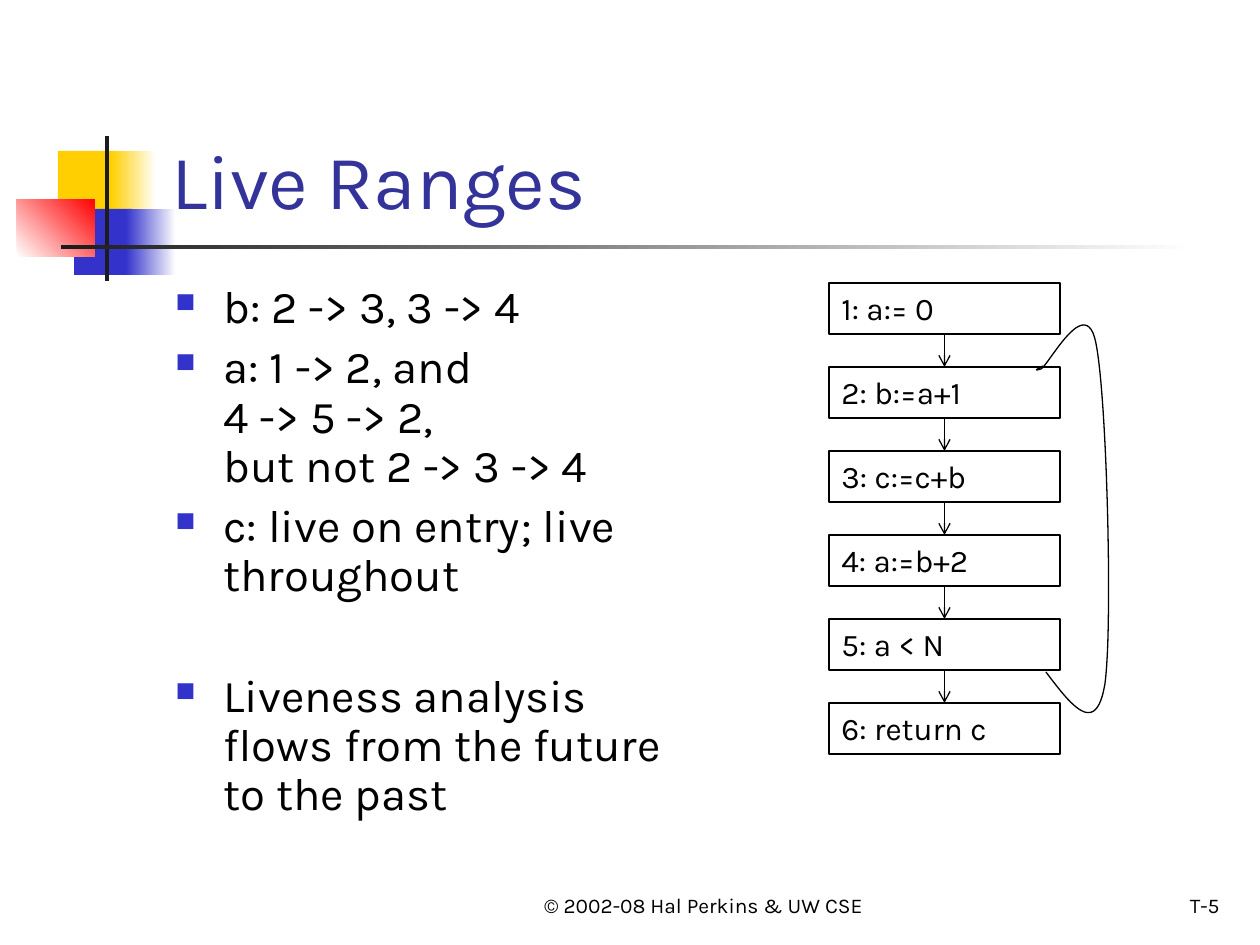
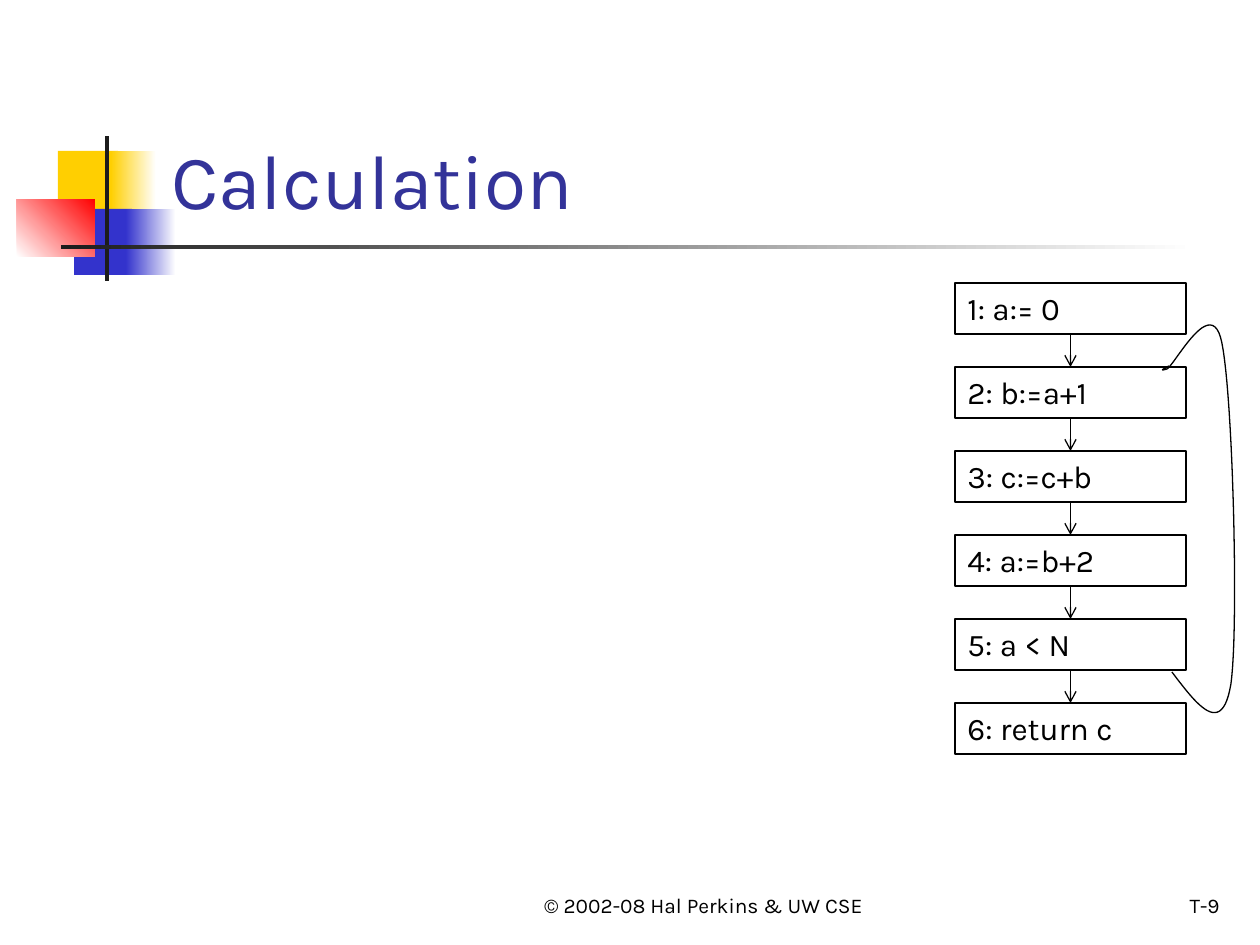
import pptx
import pptx.dml.color
import pptx.enum.dml
import pptx.enum.shapes
import pptx.enum.text
import pptx.oxml.ns
import pptx.util
from lxml import etree

RGB = pptx.dml.color.RGBColor
ALIGN = pptx.enum.text.PP_ALIGN
ANCHOR = pptx.enum.text.MSO_ANCHOR
RECTANGLE = pptx.enum.shapes.MSO_SHAPE.RECTANGLE
STRAIGHT = pptx.enum.shapes.MSO_CONNECTOR.STRAIGHT
qn = pptx.oxml.ns.qn

WHITE = RGB(0xFF, 0xFF, 0xFF)
BLACK = RGB(0, 0, 0)
YELLOW = RGB(0xFF, 0xCF, 0x01)
BLUE = RGB(0x33, 0x33, 0xCC)
RED = RGB(0xFF, 0, 0)
CHARCOAL = RGB(0x1C, 0x1C, 0x1C)
TITLE_BLUE = RGB(0x33, 0x33, 0x99)

FONT = "Karla"
PX_PER_INCH = 126
SLIDE_BOX = (0, 0, 1260, 945)
TITLE_BOX = (159, 29, 1074, 202)
BODY_BOX = (163, 278, 525, 567)
COPYRIGHT_BOX = (504, 861, 399, 63)
NUMBER_BOX = (970, 861, 262, 63)

STATEMENTS = ["1: a:= 0", "2: b:=a+1", "3: c:=c+b", "4: a:=b+2", "5: a < N", "6: return c"]
STATEMENT_HEIGHT = 51
STATEMENT_PITCH = 84
LOOP_START = (217, 389)
LOOP_CURVES = [
    [(242, 422), (267, 455), (276, 401)],
    [(284, 345), (278, 113), (267, 60)],
    [(257, 9), (220, 82), (212, 86)],
    [(202, 89), (212, 84), (214, 83)],
]
CURVE_STEPS = 24

LIVE_RANGES = [
    ("b: 2 -> 3, 3 -> 4", 0),
    ("a: 1 -> 2, and\v4 -> 5 -> 2,\vbut not 2 -> 3 -> 4", 6.5),
    ("c: live on entry; live throughout", 6.5),
    ("Liveness analysis flows from the future to the past", 41),
]


def px(length):
    return round(length * pptx.util.Inches(1) / PX_PER_INCH)


def emu(box):
    return [px(length) for length in box]


def style_runs(paragraph, size, color):
    for run in paragraph.runs:
        run.font.name = FONT
        run.font.size = pptx.util.Pt(size)
        run.font.color.rgb = color


def add_label(slide, box, text, size, color=BLACK, align=ALIGN.LEFT):
    frame = slide.shapes.add_textbox(*emu(box)).text_frame
    frame.word_wrap = True
    frame.vertical_anchor = ANCHOR.BOTTOM
    frame.text = text
    frame.paragraphs[0].alignment = align
    style_runs(frame.paragraphs[0], size, color)


def add_block(slide, box, start, end=None, angle=0):
    block = slide.shapes.add_shape(RECTANGLE, *emu(box))
    block.shadow.inherit = False
    block.line.fill.background()
    if end is None:
        block.fill.solid()
        block.fill.fore_color.rgb = start
        return
    block.fill.gradient()
    block.fill.gradient_angle = angle
    for stop, color in zip(block.fill.gradient_stops, (start, end)):
        stop.color.rgb = color


def add_emblem(slide, box):
    left, top = box[:2]
    blocks = [
        ((58, 151, 60, 66), YELLOW),
        ((111, 151, 45, 66), YELLOW, WHITE),
        ((74, 209, 58, 66), BLUE),
        ((126, 209, 50, 66), BLUE, WHITE),
        ((17, 199, 78, 58), WHITE, RED, 45),
        ((105, 136, 4, 145), CHARCOAL),
        ((61, 245, 1134, 4), CHARCOAL, WHITE),
    ]
    for (x, y, width, height), *colors in blocks:
        add_block(slide, (left + x, top + y, width, height), *colors)


def add_frame(deck, title, number):
    slide = deck.slides.add_slide(deck.slide_layouts[6])
    add_emblem(slide, SLIDE_BOX)
    add_label(slide, TITLE_BOX, title, 44, TITLE_BLUE)
    add_label(slide, COPYRIGHT_BOX, "© 2002-08 Hal Perkins & UW CSE", 12, align=ALIGN.CENTER)
    add_label(slide, NUMBER_BOX, number, 12, align=ALIGN.RIGHT)
    return slide


def add_bullet(paragraph):
    properties = paragraph._p.get_or_add_pPr()
    properties.set("marL", str(px(48)))
    properties.set("indent", str(px(-48)))
    color = etree.SubElement(properties, qn("a:buClr"))
    etree.SubElement(color, qn("a:srgbClr"), val=str(BLUE))
    etree.SubElement(properties, qn("a:buSzPct"), val="60000")
    etree.SubElement(properties, qn("a:buChar"), char="■")


def add_bullet_list(slide, box, items):
    frame = slide.shapes.add_textbox(*emu(box)).text_frame
    frame.word_wrap = True
    for index, (text, gap) in enumerate(items):
        paragraph = frame.add_paragraph() if index else frame.paragraphs[0]
        paragraph.text = text
        add_bullet(paragraph)
        paragraph.line_spacing = 0.9
        paragraph.space_before = pptx.util.Pt(gap)
        style_runs(paragraph, 26, BLACK)


def draw_outline(line):
    line.color.rgb = BLACK
    line.width = pptx.util.Pt(0.75)


def add_statement(slide, box, text):
    statement = slide.shapes.add_shape(RECTANGLE, *emu(box))
    statement.shadow.inherit = False
    statement.fill.background()
    draw_outline(statement.line)
    frame = statement.text_frame
    frame.word_wrap = True
    frame.vertical_anchor = ANCHOR.TOP
    frame.text = text
    frame.paragraphs[0].alignment = ALIGN.LEFT
    style_runs(frame.paragraphs[0], 18, BLACK)
    return statement


def add_arrow(slide, source, target):
    arrow = slide.shapes.add_connector(STRAIGHT, 0, 0, 0, 0)
    arrow.begin_connect(source, 2)
    arrow.end_connect(target, 0)
    draw_outline(arrow.line)
    etree.SubElement(arrow.line._get_or_add_ln(), qn("a:tailEnd"), type="arrow")
    etree.SubElement(arrow._element.spPr, qn("a:effectLst"))


def curve_points(start, first, second, end):
    for step in range(1, CURVE_STEPS + 1):
        t = step / CURVE_STEPS
        weights = ((1 - t) ** 3, 3 * t * (1 - t) ** 2, 3 * t * t * (1 - t), t ** 3)
        corners = (start, first, second, end)
        yield tuple(sum(w * c[axis] for w, c in zip(weights, corners)) for axis in (0, 1))


def add_loop(slide, left, top):
    points = [LOOP_START]
    for curve in LOOP_CURVES:
        points += list(curve_points(points[-1], *curve))
    (start_x, start_y), *rest = [(px(left + x), px(top + y)) for x, y in points]
    outline = slide.shapes.build_freeform(start_x, start_y)
    outline.add_line_segments(rest, close=False)
    loop = outline.convert_to_shape()
    loop.shadow.inherit = False
    loop.fill.background()
    draw_outline(loop.line)


def add_flow(slide, box):
    left, top, width, _ = box
    statements = [
        add_statement(slide, (left, top + row * STATEMENT_PITCH, width, STATEMENT_HEIGHT), text)
        for row, text in enumerate(STATEMENTS)
    ]
    for source, target in zip(statements, statements[1:]):
        add_arrow(slide, source, target)
    add_loop(slide, left, top)


def main():
    deck = pptx.Presentation()
    deck.slide_width, deck.slide_height = emu(SLIDE_BOX[2:])

    live_ranges = add_frame(deck, "Live Ranges", "T-5")
    add_bullet_list(live_ranges, BODY_BOX, LIVE_RANGES)
    add_flow(live_ranges, (829, 283, 231, 471))

    calculation = add_frame(deck, "Calculation", "T-9")
    add_flow(calculation, (955, 283, 231, 471))

    deck.save("out.pptx")


if __name__ == "__main__":
    main()
